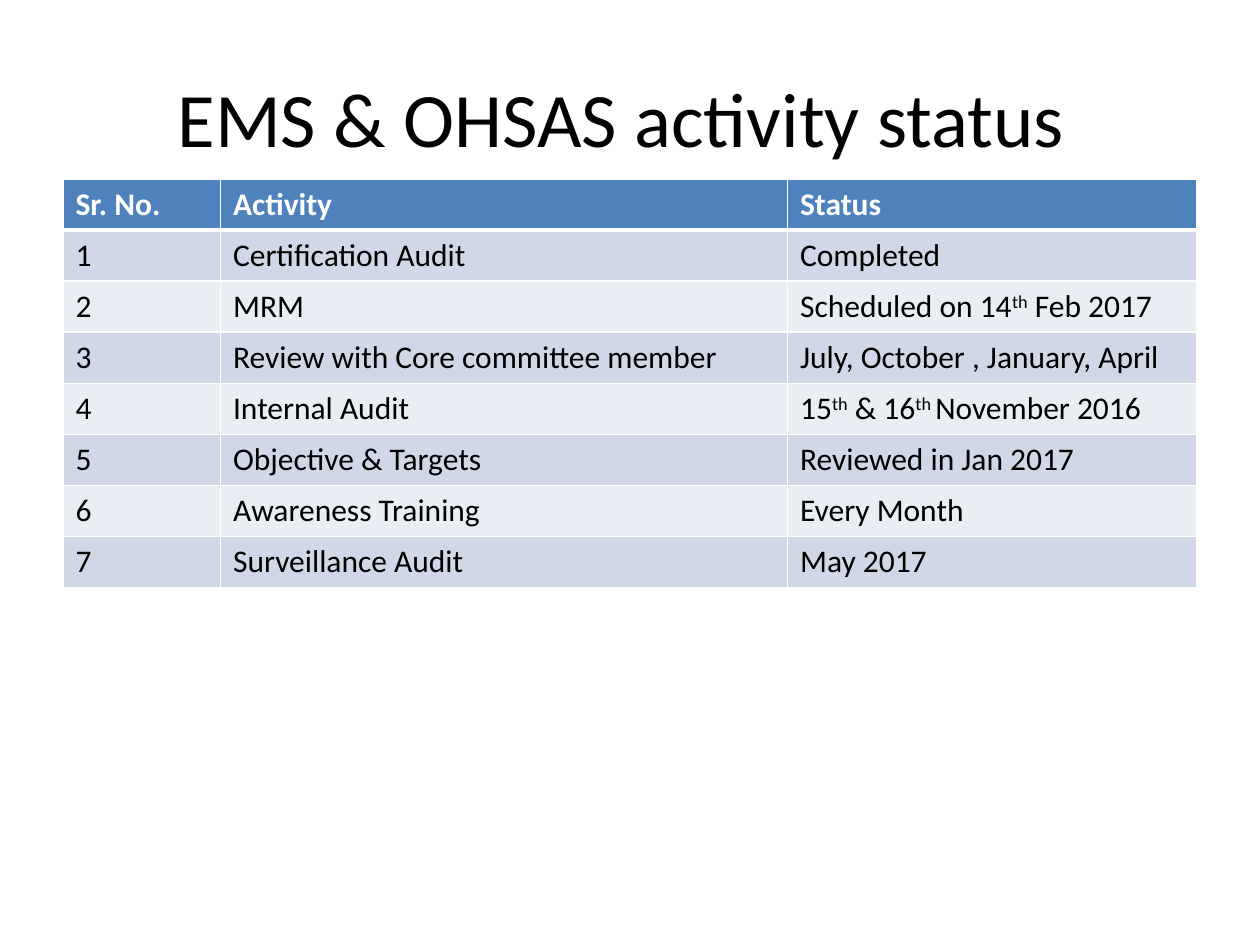
from dataclasses import dataclass

from lxml.etree import SubElement
from pptx import Presentation
from pptx.dml.color import RGBColor as Color
from pptx.enum.text import MSO_ANCHOR as Anchor, PP_ALIGN as Align
from pptx.oxml.ns import qn
from pptx.util import Inches, Pt


@dataclass(frozen=True)
class Theme:
    """Colours and type sizes of the deck."""
    font: str = "Calibri"
    title_size: int = 44
    cell_size: int = 18
    ink: str = "000000"
    paper: str = "FFFFFF"
    header: str = "4F81BD"
    bands: tuple = ("D0D8E8", "E9EDF4")
    rule: int = 1
    header_rule: int = 3


THEME = Theme()
TITLE = "EMS & OHSAS activity status "
COLUMNS = {"Sr. No.": 1.25, "Activity": 4.5, "Status": 3.25}
ACTIVITIES = [
    ("Certification Audit", "Completed"),
    ("MRM", "Scheduled on 14^th^ Feb 2017"),
    ("Review with Core committee member", "July, October , January, April"),
    ("Internal Audit", "15^th^ & 16^th ^November 2016"),
    ("Objective & Targets", "Reviewed in Jan 2017"),
    ("Awareness Training", "Every Month"),
    ("Surveillance Audit", "May 2017"),
]


def style_font(font, size, color, bold=False):
    """Apply the theme typeface with a size, colour and weight."""
    font.name, font.size, font.bold = THEME.font, Pt(size), bold
    font.color.rgb = Color.from_string(color)


def add_title(page, left, top, width, height):
    """Fill the title placeholder and place it in the given box."""
    title = page.shapes.title
    title.left, title.top = Inches(left), Inches(top)
    title.width, title.height = Inches(width), Inches(height)
    title.text_frame.vertical_anchor = Anchor.MIDDLE
    para = title.text_frame.paragraphs[0]
    para.text = TITLE
    para.alignment = Align.CENTER
    style_font(para.font, THEME.title_size, THEME.ink)


def write_marked(para, text):
    """Write text whose parts between carets are superscript."""
    for index, part in enumerate(text.split("^")):
        span = para.add_run()
        span.text = part
        if index % 2:
            span.font._element.set("baseline", "30000")


def add_borders(cell, widths):
    """Draw the cell's edges at the given point widths."""
    properties = cell._tc.get_or_add_tcPr()
    for edge, width in widths.items():
        line = SubElement(properties, qn(f"a:ln{edge}"), w=str(Pt(width)))
        fill = SubElement(line, qn("a:solidFill"))
        SubElement(fill, qn("a:srgbClr"), val=THEME.paper)


def format_cell(cell, text, row):
    """Write and colour one cell according to its row."""
    header = row == 0
    widths = dict.fromkeys("LRTB", THEME.rule)
    if row < 2:
        widths["B" if header else "T"] = THEME.header_rule
    add_borders(cell, widths)
    cell.fill.solid()
    fill = THEME.header if header else THEME.bands[(row - 1) % 2]
    cell.fill.fore_color.rgb = Color.from_string(fill)
    para = cell.text_frame.paragraphs[0]
    write_marked(para, text)
    style_font(para.font, THEME.cell_size, THEME.paper if header else THEME.ink, header)


def add_activity_table(page, left, top, width, height):
    """Build the numbered table of activities in the given box."""
    rows = [tuple(COLUMNS)]
    rows += [(str(number), *entry) for number, entry in enumerate(ACTIVITIES, 1)]
    table = page.shapes.add_table(
        len(rows), len(COLUMNS), Inches(left), Inches(top), Inches(width), Inches(height)
    ).table
    for column, share in zip(table.columns, COLUMNS.values()):
        column.width = Inches(width * share / sum(COLUMNS.values()))
    for row, texts in enumerate(rows):
        for column, text in enumerate(texts):
            format_cell(table.cell(row, column), text, row)


def main():
    """Build and save the deck."""
    deck = Presentation()
    deck.slide_width, deck.slide_height = Inches(10), Inches(7.5)
    page = deck.slides.add_slide(deck.slide_layouts[5])
    add_title(page, 0.5, 0.3, 9, 1.25)
    add_activity_table(page, 0.5, 1.42, 9, 3.24)
    deck.save("out.pptx")


if __name__ == "__main__":
    main()
